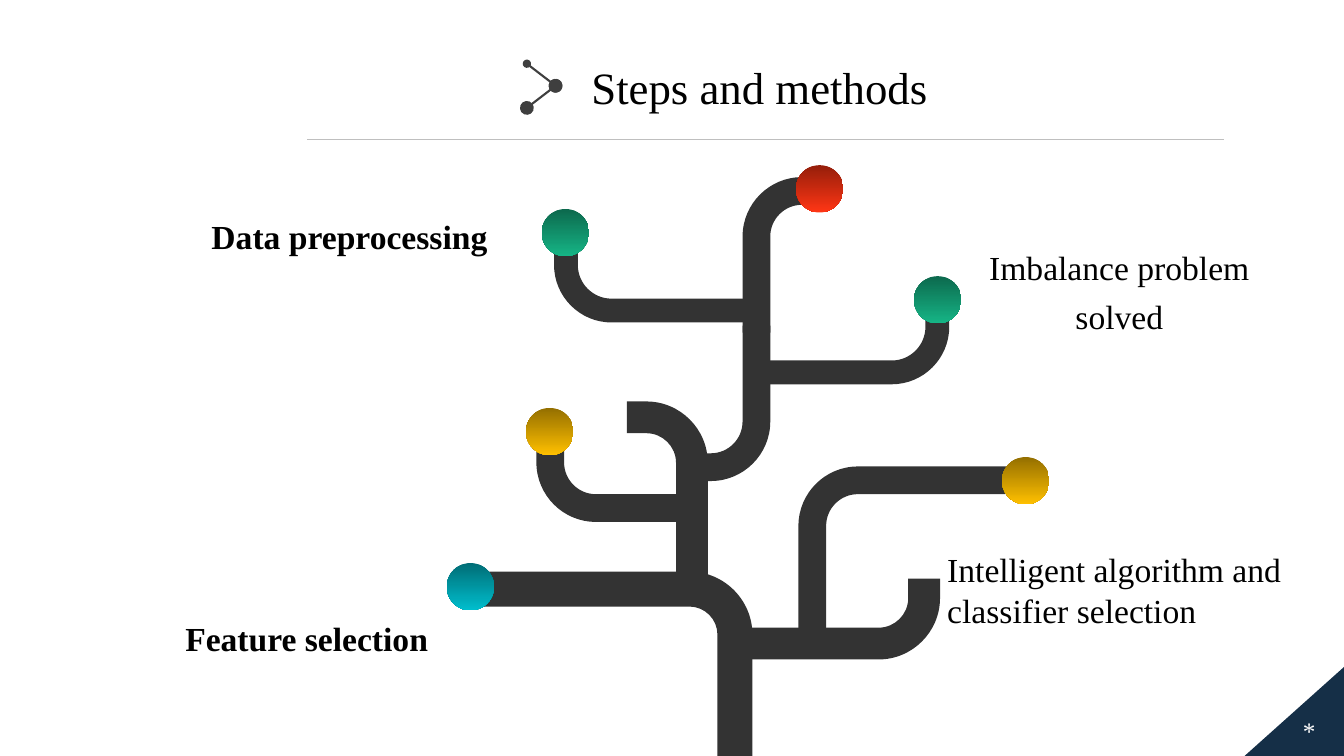
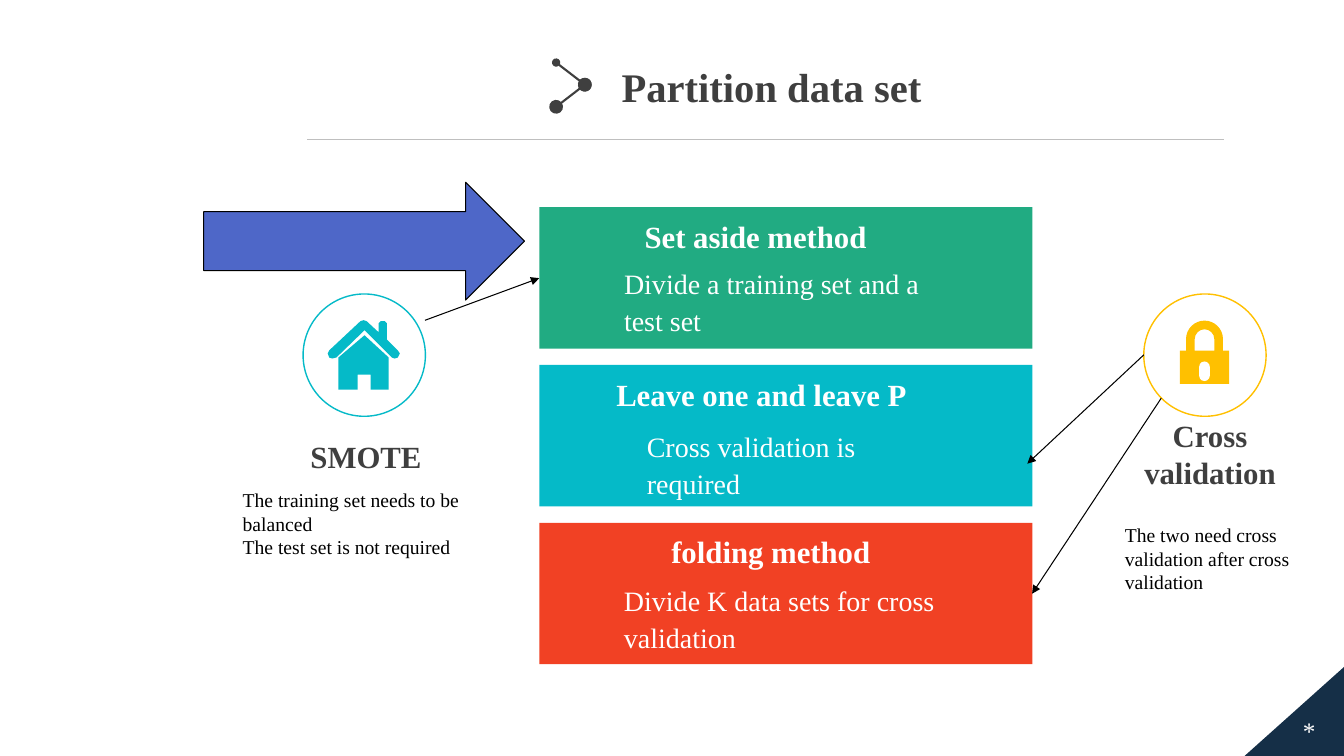
"""Build two slides on the steps and methods of partitioning a data set."""
from dataclasses import dataclass

from lxml import etree
from pptx import Presentation
from pptx.dml.color import RGBColor
from pptx.enum.shapes import MSO_CONNECTOR, MSO_SHAPE
from pptx.enum.text import MSO_ANCHOR, PP_ALIGN
from pptx.oxml.ns import qn
from pptx.util import Pt

LEFT, CENTER = PP_ALIGN.LEFT, PP_ALIGN.CENTER
TOP, MIDDLE = MSO_ANCHOR.TOP, MSO_ANCHOR.MIDDLE
STRAIGHT = MSO_CONNECTOR.STRAIGHT
RECT, OVAL, ARROW = MSO_SHAPE.RECTANGLE, MSO_SHAPE.OVAL, MSO_SHAPE.RIGHT_ARROW
ROUNDED, TRIANGLE = MSO_SHAPE.ROUNDED_RECTANGLE, MSO_SHAPE.RIGHT_TRIANGLE
ARC = 0.55


@dataclass(frozen=True)
class Theme:
    font: str = "Times New Roman"
    black: str = "000000"
    white: str = "FFFFFF"
    dark: str = "3F3F3F"
    rule: str = "BFBFBF"
    corner: str = "152F47"
    branch: str = "333333"
    arrow: str = "4E67C8"
    green: str = "21AB82"
    cyan: str = "05BAC8"
    red: str = "F14124"
    yellow: str = "FFC000"
    bud_cyan: tuple = ("006D76", "00BECD")
    bud_yellow: tuple = ("946F00", "FFC000")
    bud_green: tuple = ("0C694D", "16B586")
    bud_red: tuple = ("951E0A", "FF3615")
    title: int = 32
    title_bold: int = 29
    label: int = 24
    heading: int = 22
    body: int = 20
    number: int = 18
    note: int = 14


def rgb(color):
    return RGBColor.from_string(color)


def write(tf, text, size, color=Theme.black, bold=False, align=LEFT,
          anchor=TOP, spacing=None):
    tf.word_wrap = True
    tf.vertical_anchor = anchor
    for i, line in enumerate(text.split("\n")):
        p = tf.add_paragraph() if i else tf.paragraphs[0]
        p.alignment = align
        if spacing:
            p.line_spacing = spacing
        r = p.add_run()
        r.text = line
        r.font.name = Theme.font
        r.font.size = Pt(size)
        r.font.bold = bold
        r.font.color.rgb = rgb(color)


class Deck:
    def __init__(self, theme):
        self.theme = theme
        self.prs = Presentation()
        self.prs.slide_width, self.prs.slide_height = Pt(960.12), Pt(540)

    def new_slide(self, title, x, y, size, color, bold=False):
        t = self.theme
        self.slide = self.prs.slides.add_slide(self.prs.slide_layouts[6])
        self.line((219.6, 99.8), (874.1, 99.8), t.rule, 0.5)
        sp = self.shape(TRIANGLE, 888, 474, 74.9, 67, t.corner)
        sp._element.spPr.find(qn("a:xfrm")).set("flipH", "1")
        self.text("*", 896.4, 501.8, 77.8, 39.6, size=t.number, color=t.white,
                  align=CENTER, anchor=MIDDLE)
        self.text(title, x, y, 254.5, 45, size=size, color=color, bold=bold)

    def title_icon(self, x, y):
        joint = (x + 20.5, y + 15.8)
        self.line((x, y), joint, self.theme.dark, 1.5,
                  head=("oval", "med"), tail=("oval", "lg"))
        self.line(joint, (x, y + 31.6), self.theme.dark, 1.5,
                  head=("oval", "lg"), tail=("oval", "lg"))

    def text(self, text, x, y, w, h, **fmt):
        sp = self.slide.shapes.add_textbox(Pt(x), Pt(y), Pt(w), Pt(h))
        write(sp.text_frame, text, **fmt)

    def paint(self, sp, fill=None, line=None, width=1):
        sp.shadow.inherit = False
        if isinstance(fill, tuple):
            sp.fill.gradient()
            sp.fill.gradient_angle = 270
            for position, (stop, color) in enumerate(
                    zip(sp.fill.gradient_stops, fill)):
                stop.color.rgb = rgb(color)
                stop.position = position
        elif fill:
            sp.fill.solid()
            sp.fill.fore_color.rgb = rgb(fill)
        else:
            sp.fill.background()
        if line:
            sp.line.color.rgb = rgb(line)
            sp.line.width = Pt(width)
        else:
            sp.line.fill.background()
        return sp

    def shape(self, kind, x, y, w, h, fill=None, line=None, width=1):
        sp = self.slide.shapes.add_shape(kind, Pt(x), Pt(y), Pt(w), Pt(h))
        return self.paint(sp, fill, line, width)

    def line(self, start, end, color, width, head=None, tail=None):
        sp = self.slide.shapes.add_connector(
            STRAIGHT, *(Pt(v) for v in start + end))
        sp.line.color.rgb = rgb(color)
        sp.line.width = Pt(width)
        ln = sp.line._get_or_add_ln()
        for tag, mark in (("a:headEnd", head), ("a:tailEnd", tail)):
            if mark:
                kind, size = mark
                etree.SubElement(ln, qn(tag), type=kind, w=size, len=size)
        etree.SubElement(sp._element.spPr, qn("a:effectLst"))

    def outline(self, contours, fill, curves=()):
        contours = [[(Pt(x), Pt(y)) for x, y in c] for c in contours]
        fb = self.slide.shapes.build_freeform(*contours[0][0], scale=1.0)
        for i, points in enumerate(contours):
            if i:
                fb.move_to(*points[0])
            fb.add_line_segments(points[1:], close=True)
        sp = self.paint(fb.convert_to_shape(), fill)
        steps = list(next(sp._element.iter(qn("a:moveTo"))).getparent())
        for first in curves:
            curve = etree.Element(qn("a:cubicBezTo"))
            steps[first].addprevious(curve)
            for step in steps[first:first + 3]:
                curve.append(step[0])
                step.getparent().remove(step)

    def bend(self, start, corner, end, width, radius, fill):
        def unit(a, b):
            dx, dy = b[0] - a[0], b[1] - a[1]
            size = abs(dx) + abs(dy)
            return dx / size, dy / size

        u, v = unit(start, corner), unit(corner, end)
        center = [c + radius * (b - a) for c, a, b in zip(corner, u, v)]

        def move(point, along_u, along_v):
            return tuple(p + a * along_u + b * along_v
                         for p, a, b in zip(point, u, v))

        def side(offset):
            q = radius + offset
            return [move(start, 0, -offset), move(center, 0, -q),
                    move(center, q * ARC, -q), move(center, q, -q * ARC),
                    move(center, q, 0), move(end, offset, 0)]

        self.outline([side(width / 2) + side(-width / 2)[::-1]], fill, (2, 8))

    def ring(self, x, y, color):
        self.shape(OVAL, x, y, 87.4, 87.4, line=color)

    def house(self, x, y, color):
        walls = [(43.9, 29.5), (61.2, 45.4), (61.2, 68.4), (48.2, 68.4),
                 (48.2, 57.6), (38.9, 57.6), (38.9, 68.4), (25.2, 68.4),
                 (25.2, 45.4)]
        roof = [(45.4, 19.4), (54, 27.4), (54, 20.9), (55.4, 19.4),
                (58.3, 19.4), (59.8, 20.9), (59.8, 32.4), (67.7, 40.3),
                (69.1, 42.5), (67.7, 45.4), (65.5, 46.1), (63.4, 45.4),
                (43.9, 25.9), (23.8, 45.4), (20.9, 46.1), (18.7, 45.4),
                (17.6, 42.5), (18.7, 40.3), (41, 19.4), (43.2, 18.7)]
        self.ring(x, y, color)
        self.outline([[(x + px, y + py) for px, py in part]
                      for part in (walls, roof)], color)

    def lock(self, x, y, color):
        self.ring(x, y, color)
        mid, arc_y, body_y = x + 43.4, y + 32.2, y + 40.5

        def arch(r):
            k = r * ARC
            return [(mid - r, body_y), (mid - r, arc_y),
                    (mid - r, arc_y - k), (mid - k, arc_y - r),
                    (mid, arc_y - r), (mid + k, arc_y - r),
                    (mid + r, arc_y - k), (mid + r, arc_y),
                    (mid + r, body_y)]

        body = [(mid + 17.6, body_y), (mid + 17.6, body_y + 23.6),
                (mid - 17.6, body_y + 23.6), (mid - 17.6, body_y)]
        self.outline([arch(13.2) + body, arch(7)], color, (2, 5, 16, 19))
        sp = self.shape(ROUNDED, mid - 3.8, y + 48.2, 7.6, 14, self.theme.white)
        sp.adjustments[0] = 0.5

    def card(self, y, fill, heading, heading_x, body, body_x, body_y, body_w):
        t = self.theme
        self.shape(RECT, 385.4, y, 352.1, 101, fill)
        self.text(heading, heading_x, y + 3.9, 260, 33.8, size=t.heading,
                  color=t.white, bold=True)
        self.text(body, body_x, y + body_y, body_w, 59.8, size=t.body,
                  color=t.white, spacing=1.1)


def build_tree(deck):
    t = deck.theme
    deck.new_slide("Steps and methods", 415.4, 38.9, t.title, t.black)
    deck.title_icon(376.4, 45.5)
    branches = [
        ((525, 561.6), (525, 420.8), (334.8, 420.8), 25),
        ((525, 459.7), (660.2, 459.7), (660.2, 413.3), 22.7),
        ((543.6, 266), (669.6, 266), (669.6, 219.6), 17),
        ((494.3, 421.2), (494.3, 298.1), (447.8, 298.1), 22.7),
        ((580.3, 463.7), (580.3, 343.1), (733.7, 343.1), 19.8),
        ((537, 221.8), (404.3, 221.8), (404.3, 175), 17),
        ((494, 362.9), (393.1, 362.9), (393.1, 316.8), 19.8),
        ((494, 333.7), (540.4, 333.7), (540.4, 232.6), 19.8),
        ((540.4, 237.6), (540.4, 136.4), (586.8, 136.4), 19.8),
    ]
    for start, corner, end, width in branches:
        deck.bend(start, corner, end, width, 32.5, t.branch)
    for x, y, fill in ((319.2, 402.2, t.bud_cyan), (375.8, 291.4, t.bud_yellow),
                       (715.8, 326.5, t.bud_yellow), (653, 197.3, t.bud_green),
                       (387, 149.3, t.bud_green), (568.6, 118, t.bud_red)):
        deck.shape(OVAL, x, y, 33.8, 33.8, fill)
    deck.text("Feature selection", 125.3, 432, 221, 41.8, size=t.label,
              bold=True, spacing=1.2)
    deck.text("Data preprocessing", 144, 144.7, 252, 41.8, size=t.label,
              bold=True, spacing=1.2)
    deck.text("Imbalance problem solved", 693.4, 167.4, 212.4, 76.3,
              size=t.label, align=CENTER, spacing=1.2)
    deck.text("Intelligent algorithm and classifier selection",
              669.6, 388.8, 284.4, 64.8, size=t.label)


def build_partition(deck):
    t = deck.theme
    deck.new_slide("Partition data set", 437, 40.7, t.title_bold, t.dark, True)
    deck.title_icon(397.3, 44.7)
    cards = [
        (t.green, "Set aside method", 453.4,
         "Divide a training set and a test set", 438.7, 36.3, 252.7),
        (t.cyan, "Leave one and leave P", 433.2,
         "Cross validation is required", 455, 40, 218.2),
        (t.red, "folding method", 472.5,
         "Divide K data sets for cross validation", 438.7, 37.7, 290.2),
    ]
    for i, card in enumerate(cards):
        deck.card(148 + i * 112.7, *card)
    deck.lock(817.1, 210, t.yellow)
    deck.house(216.5, 210, t.cyan)
    heading = dict(size=t.heading, color=t.dark, bold=True, align=CENTER)
    deck.text("SMOTE", 200.3, 309.2, 122.4, 33.8, **heading)
    deck.text("Cross validation", 790.6, 294.1, 147.6, 59, **heading)
    deck.text("The training set needs to be balanced\n"
              "The test set is not required",
              166.3, 345.1, 218.9, 57.6, size=t.note)
    deck.text("The two need cross validation after cross validation",
              796.5, 370.1, 155.5, 57.6, size=t.note)
    for start, end in (((303.6, 228.8), (385.2, 198.7)),
                       ((817.2, 253.4), (733.9, 331.2)),
                       ((829.6, 284.4), (737.3, 424.1))):
        deck.line(start, end, t.black, 0.75, tail=("triangle", "med"))
    deck.shape(ARROW, 145.5, 130.2, 229.2, 84.2, t.arrow, t.black, 0.75)


def main():
    deck = Deck(Theme())
    build_tree(deck)
    build_partition(deck)
    deck.prs.save("out.pptx")


if __name__ == "__main__":
    main()
